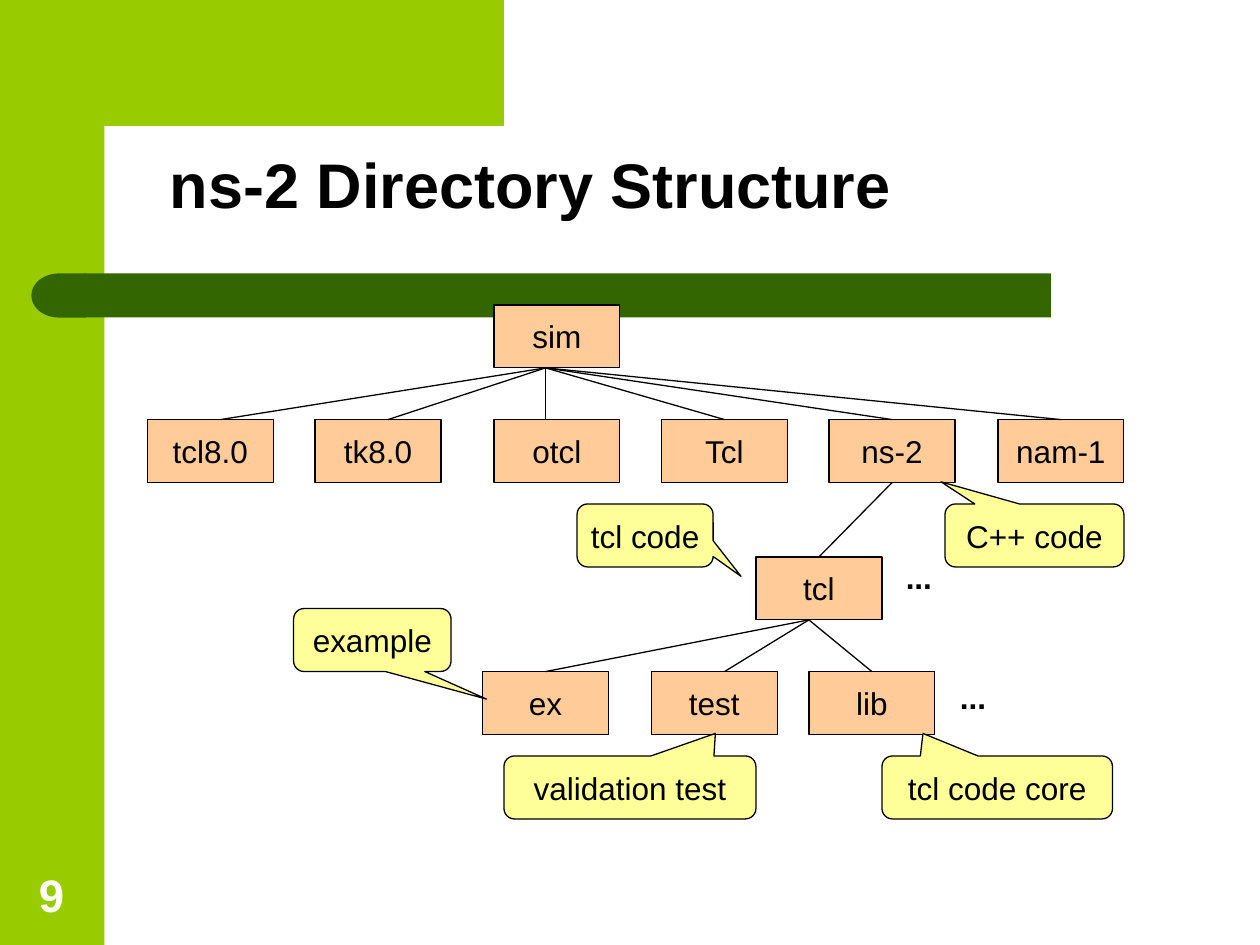
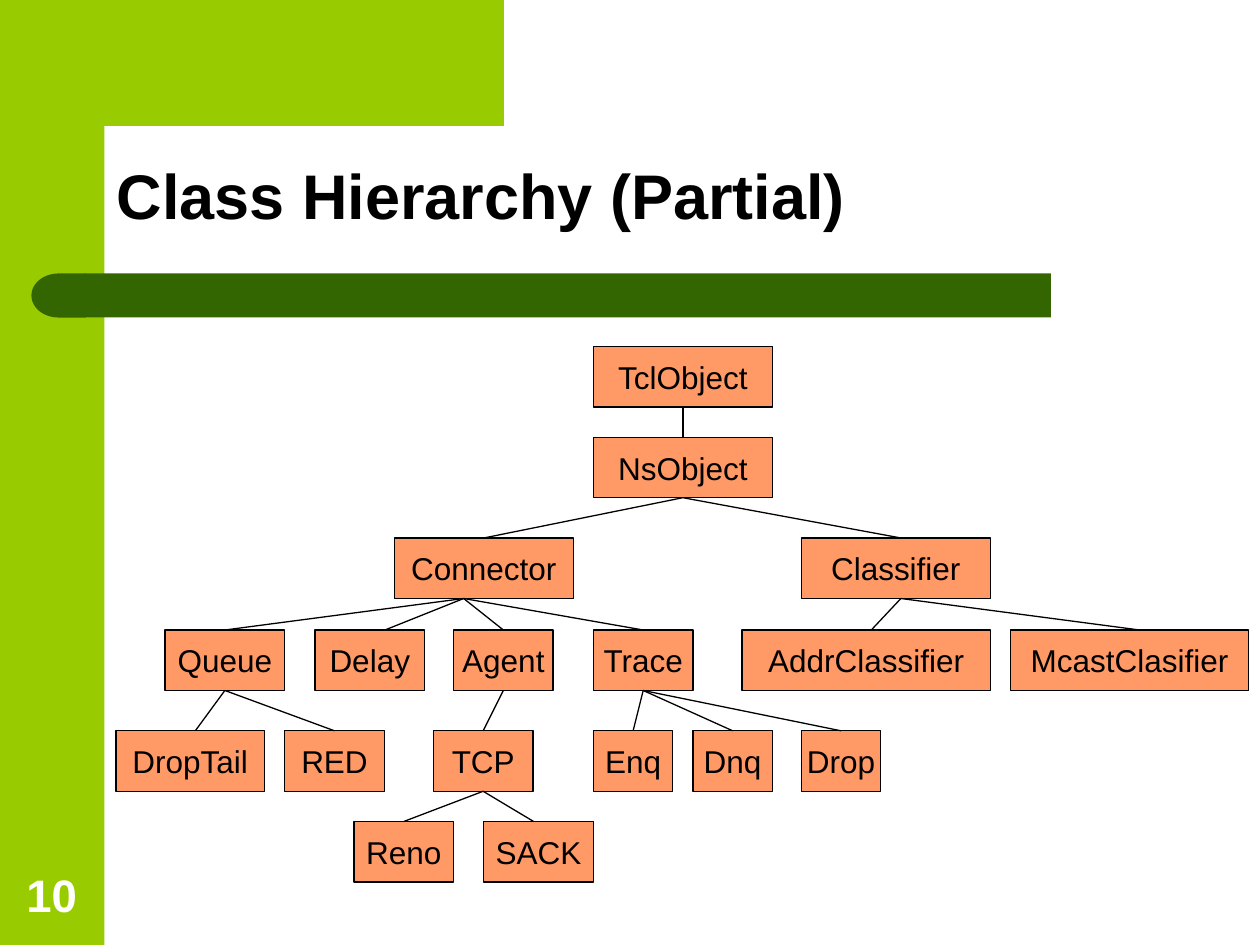
import math

from lxml import etree
from pptx import Presentation
from pptx.dml.color import RGBColor
from pptx.enum.shapes import MSO_CONNECTOR, MSO_SHAPE
from pptx.enum.text import MSO_ANCHOR, PP_ALIGN
from pptx.oxml.ns import qn
from pptx.util import Inches, Pt

RECTANGLE = MSO_SHAPE.RECTANGLE
DELAY = MSO_SHAPE.FLOWCHART_DELAY
CALLOUT = MSO_SHAPE.ROUNDED_RECTANGULAR_CALLOUT
STRAIGHT = MSO_CONNECTOR.STRAIGHT
TOP, MIDDLE, BOTTOM = MSO_ANCHOR.TOP, MSO_ANCHOR.MIDDLE, MSO_ANCHOR.BOTTOM
LEFT, CENTER = PP_ALIGN.LEFT, PP_ALIGN.CENTER

BLACK = RGBColor(0x00, 0x00, 0x00)
WHITE = RGBColor(0xFF, 0xFF, 0xFF)
LIME = RGBColor(0x99, 0xCC, 0x00)
DARK_GREEN = RGBColor(0x33, 0x66, 0x00)
PEACH = RGBColor(0xFF, 0xCC, 0x99)
ORANGE = RGBColor(0xFF, 0x99, 0x66)
YELLOW = RGBColor(0xFF, 0xFF, 0x99)

LINE_WIDTH = Pt(0.74)
BODY = {"name": "Arial", "size": Pt(18), "bold": False}
DOTS = {**BODY, "bold": True}
TITLE = {"name": "Arial", "size": Pt(36), "bold": True}
NUMBER = {"name": "Arial", "size": Pt(26), "bold": True}

DIRECTORY_LEVELS = [
    (2.42, [("sim", 3.92, 1)]),
    (3.33, [("tcl8.0", 1.17, 1), ("tk8.0", 2.5, 1), ("otcl", 3.92, 1),
            ("Tcl", 5.25, 1), ("ns-2", 6.58, 1), ("nam-1", 7.92, 1)]),
    (4.42, [("tcl", 6, 1)]),
    (5.33, [("ex", 3.83, 1), ("test", 5.17, 1), ("lib", 6.42, 1)]),
]
DIRECTORY_CHILDREN = {
    "sim": ["tcl8.0", "tk8.0", "otcl", "Tcl", "ns-2", "nam-1"],
    "ns-2": ["tcl"],
    "tcl": ["ex", "test", "lib"],
}
DIRECTORY_EXITS = {"sim": -0.09, "tcl": -0.08}
DIRECTORY_ENTRIES = {"tcl8.0": 0.08, "tk8.0": 0.08, "otcl": -0.09, "test": 0.08}
DIRECTORY_CALLOUTS = [
    ("tcl code", 4.58, 4, 1.08, (0.705, 0.649)),
    ("example", 2.33, 4.83, 1.25, (0.725, 0.938)),
    ("validation test", 4, 6, 2, (0.339, -0.858)),
    ("C++ code", 7.5, 4, 1.42, (-0.522, -0.851)),
    ("tcl code core", 7, 6, 1.83, (-0.322, -0.858)),
]

CLASS_LEVELS = [
    (2.75, [("TclObject", 4.71, 1.42)]),
    (3.47, [("NsObject", 4.71, 1.42)]),
    (4.27, [("Connector", 3.13, 1.42), ("Classifier", 6.36, 1.5)]),
    (5, [("Queue", 1.31, 0.95), ("Delay", 2.5, 0.87), ("Agent", 3.6, 0.79),
         ("Trace", 4.71, 0.79), ("AddrClassifier", 5.89, 1.97),
         ("McastClasifier", 8.02, 1.89)]),
    (5.8, [("DropTail", 0.92, 1.18), ("RED", 2.26, 0.79), ("TCP", 3.44, 0.79),
           ("Enq", 4.71, 0.63), ("Dnq", 5.5, 0.63), ("Drop", 6.36, 0.63)]),
    (6.52, [("Reno", 2.81, 0.79), ("SACK", 3.84, 0.87)]),
]
CLASS_CHILDREN = {
    "TclObject": ["NsObject"],
    "NsObject": ["Connector", "Classifier"],
    "Connector": ["Queue", "Delay", "Agent", "Trace"],
    "Classifier": ["AddrClassifier", "McastClasifier"],
    "Queue": ["DropTail", "RED"],
    "Agent": ["TCP"],
    "Trace": ["Enq", "Dnq", "Drop"],
    "TCP": ["Reno", "SACK"],
}
CLASS_EXITS = {"Connector": -0.16, "Classifier": 0.04}
CLASS_ENTRIES = {"Classifier": 0.04, "Delay": 0.12, "AddrClassifier": 0.04,
                 "McastClasifier": 0.08, "DropTail": 0.04, "SACK": -0.04}


def write_text(shape, text, font, color, align, anchor, wrap):
    frame = shape.text_frame
    frame.word_wrap = wrap
    frame.vertical_anchor = anchor
    paragraph = frame.paragraphs[0]
    paragraph.alignment = align
    run = paragraph.add_run()
    run.text = text
    for name, value in font.items():
        setattr(run.font, name, value)
    run.font.color.rgb = color


def paint(shape, fill, outlined):
    shape.shadow.inherit = False
    shape.fill.solid()
    shape.fill.fore_color.rgb = fill
    if outlined:
        shape.line.color.rgb = BLACK
        shape.line.width = LINE_WIDTH
    else:
        shape.line.fill.background()


def add_shape(slide, kind, box, fill, outlined=False):
    shape = slide.shapes.add_shape(kind, *map(Inches, box))
    paint(shape, fill, outlined)
    return shape


def add_text(slide, text, box, font, color=BLACK, align=LEFT, anchor=TOP, wrap=True):
    shape = slide.shapes.add_textbox(*map(Inches, box))
    write_text(shape, text, font, color, align, anchor, wrap)


def add_node(slide, text, box, fill):
    shape = add_shape(slide, RECTANGLE, box, fill, True)
    write_text(shape, text, BODY, BLACK, CENTER, MIDDLE, False)


def add_callout(slide, text, left, top, width, tip):
    shape = add_shape(slide, CALLOUT, (left, top, width, 0.5), YELLOW, True)
    for index, value in enumerate((*tip, 0.167)):
        shape.adjustments[index] = value
    write_text(shape, text, BODY, BLACK, CENTER, MIDDLE, False)


def add_line(slide, start, end):
    line = slide.shapes.add_connector(STRAIGHT, *map(Inches, (*start, *end)))
    line.line.color.rgb = BLACK
    line.line.width = LINE_WIDTH
    etree.SubElement(line.element.spPr, qn("a:effectLst"))


def add_corner_band(slide):
    radius, center_x, center_y = 0.33, 1.16, 1.16
    angles = [math.radians(degrees) for degrees in range(90, 181, 5)]
    curve = [(center_x + radius * math.cos(angle), center_y - radius * math.sin(angle))
             for angle in angles]
    points = [(3.5, 0), (3.5, 0.83), *curve, (0.83, 1.28), (0.5, 1.28), (0.5, 0)]
    builder = slide.shapes.build_freeform(*points[0], scale=Inches(1))
    builder.add_line_segments(points[1:], close=True)
    paint(builder.convert_to_shape(), LIME, False)


def add_tree(slide, levels, children, fill, height, exits, entries):
    boxes = {}
    for top, nodes in levels:
        for name, left, width in nodes:
            boxes[name] = (left, top, width, height)
            add_node(slide, name, boxes[name], fill)
    for parent, names in children.items():
        left, top, width, _ = boxes[parent]
        start = (left + width / 2 + exits.get(parent, 0), top + height)
        for name in names:
            left, top, width, _ = boxes[name]
            add_line(slide, start, (left + width / 2 + entries.get(name, 0), top))


def add_base_slide(presentation, title, title_box, number):
    slide = presentation.slides.add_slide(presentation.slide_layouts[6])
    add_shape(slide, RECTANGLE, (0, 0, 0.83, 7.5), LIME)
    add_corner_band(slide)
    add_shape(slide, RECTANGLE, (0.67, 2.17, 7.67, 0.35), DARK_GREEN)
    cap = add_shape(slide, DELAY, (0.25, 2.17, 0.43, 0.35), DARK_GREEN)
    cap.element.spPr.get_or_add_xfrm().set("flipH", "1")
    add_text(slide, number, (0.09, 6.83, 0.64, 0.53), NUMBER, WHITE, CENTER, BOTTOM)
    add_text(slide, title, title_box, TITLE, anchor=MIDDLE)
    return slide


def add_directory_slide(presentation):
    slide = add_base_slide(presentation, "ns-2 Directory Structure",
                           (1.25, 0.83, 7, 1.25), "9")
    add_tree(slide, DIRECTORY_LEVELS, DIRECTORY_CHILDREN, PEACH, 0.5,
             DIRECTORY_EXITS, DIRECTORY_ENTRIES)
    for left, top in ((7.09, 4.38), (7.52, 5.33)):
        add_text(slide, "...", (left, top, 0.41, 0.4), DOTS, wrap=False)
    for callout in DIRECTORY_CALLOUTS:
        add_callout(slide, *callout)


def add_class_slide(presentation):
    slide = add_base_slide(presentation, "Class Hierarchy (Partial)",
                           (0.83, 0.92, 8.5, 1.25), "10")
    add_tree(slide, CLASS_LEVELS, CLASS_CHILDREN, ORANGE, 0.48,
             CLASS_EXITS, CLASS_ENTRIES)


def main():
    presentation = Presentation()
    presentation.slide_width = Inches(10)
    presentation.slide_height = Inches(7.5)
    add_directory_slide(presentation)
    add_class_slide(presentation)
    presentation.save("out.pptx")


main()
